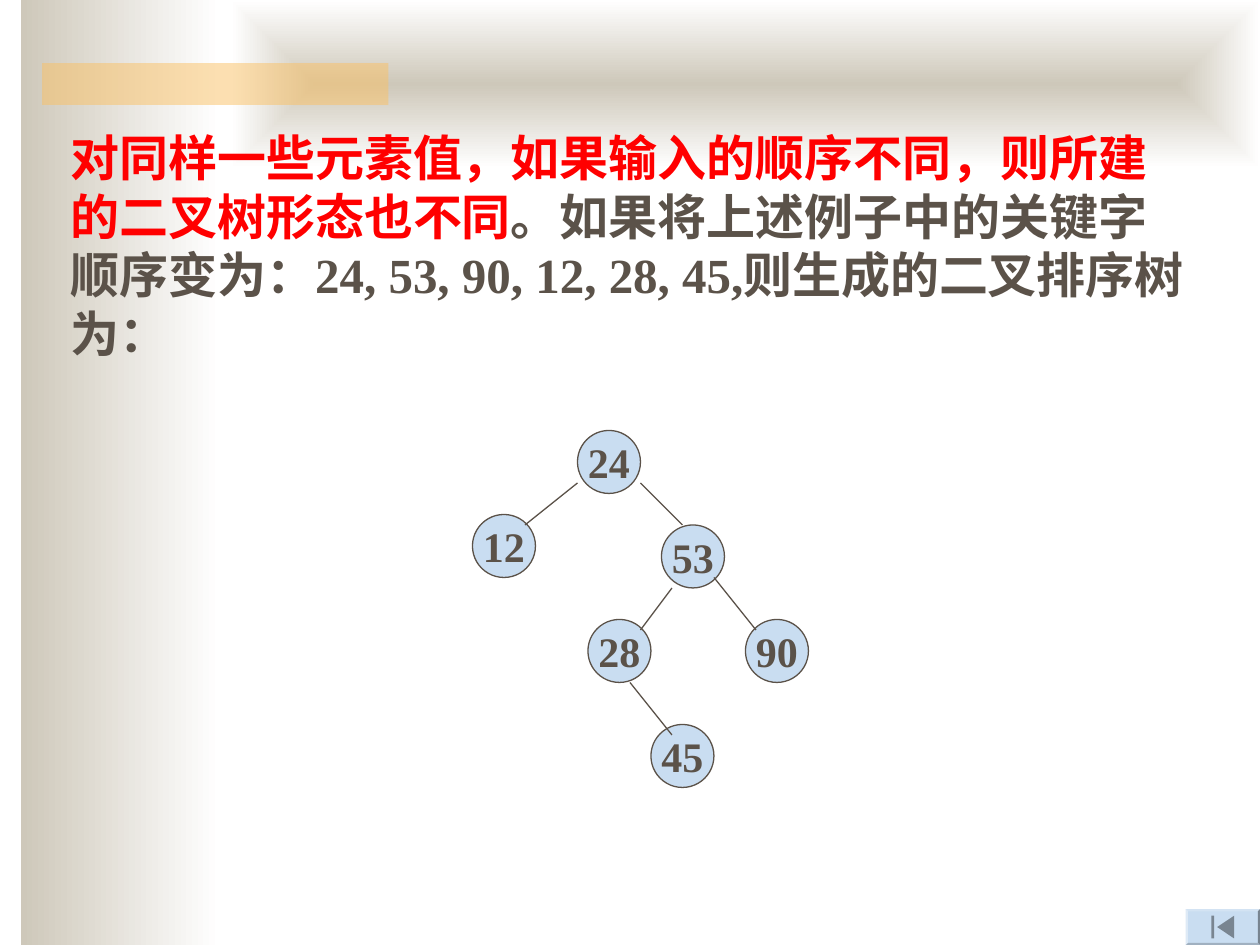
from lxml import etree
from pptx import Presentation
from pptx.dml.color import RGBColor
from pptx.enum.shapes import MSO_CONNECTOR as Connector, MSO_SHAPE as Shape
from pptx.enum.text import MSO_ANCHOR as Anchor, MSO_AUTO_SIZE as AutoSize, PP_ALIGN as Align
from pptx.oxml.ns import qn
from pptx.util import Pt

# Content
BODY_RUNS = [
    ("对同样一些元素值，如果输入的顺序不同，则所建的二叉树形态也不同", "accent"),
    ("。如果将上述例子中的关键字顺序变为：24, 53, 90, 12, 28, 45,则生成的二叉排序树为：", "ink"),
]
NODES = {  # key: left, top
    24: (330, 246),
    12: (270, 294),
    28: (336, 354),
    53: (378, 300),
    90: (426, 354),
    45: (372, 414),
}
EDGES = [  # parent, offset in parent, child, offset in child
    (24, (0, 30), 12, (30, 6)),
    (24, (36, 30), 53, (12, 0)),
    (53, (6, 36), 28, (30, 6)),
    (53, (30, 30), 90, (6, 6)),
    (28, (24, 36), 45, (12, 6)),
]
NODE_SIZE = 36
BODY_BOX = (33.12, 69.12, 653.76, 141.84)
SIDE_BAND = (12, 0, 114, 540)
TOP_BAND = (132, 0, 588, 96)
TITLE_BAR = (24, 36, 198, 24)
BUTTON = (677.5, 519.5, 42.5, 20.5)

THEME = {
    "font": "Times New Roman",
    "body_size": 28,
    "node_size": 24,
    "line_width": 0.75,
    "ink": "5B5249",
    "accent": "FF0000",
    "node": "C9DDF1",
    "glyph": "798591",
    "band": "CEC8BA",
    "paper": "FFFFFF",
    "bar": "FAC164",
}


def color(name):
    return RGBColor.from_string(THEME[name])


def set_attributes(target, values):
    for name, value in values.items():
        setattr(target, name, value)


def add_box(slide, kind, box, fill=None):
    shape = slide.shapes.add_shape(kind, *map(Pt, box))
    shape.shadow.inherit = False
    shape.line.fill.background()
    if fill:
        shape.fill.solid()
        shape.fill.fore_color.rgb = color(fill)
    return shape


def add_band(slide, box):
    shape = add_box(slide, Shape.RECTANGLE, box)
    shape.fill.gradient()
    shape.fill.gradient_angle = 0
    for stop, name in zip(shape.fill.gradient_stops, ("band", "paper")):
        stop.color.rgb = color(name)
    return shape


def make_rectangular(shape):
    gradient = shape._element.spPr.find(qn("a:gradFill"))
    gradient.remove(gradient.find(qn("a:lin")))
    route = etree.SubElement(gradient, qn("a:path"), {"path": "rect"})
    center = {side: "50000" for side in "ltrb"}
    etree.SubElement(route, qn("a:fillToRect"), center)


def add_run(paragraph, text, size, ink):
    run = paragraph.add_run()
    run.text = text
    set_attributes(run.font, {"name": THEME["font"], "size": Pt(THEME[size]), "bold": True})
    run.font.color.rgb = color(ink)


def style_line(line):
    line.color.rgb = color("ink")
    line.width = Pt(THEME["line_width"])


def add_background(slide):
    add_band(slide, SIDE_BAND)
    make_rectangular(add_band(slide, TOP_BAND))
    bar = add_box(slide, Shape.RECTANGLE, TITLE_BAR, "bar")
    bar_color = bar._element.spPr.find(qn("a:solidFill"))[0]
    etree.SubElement(bar_color, qn("a:alpha"), {"val": "50000"})


def add_button(slide):
    left, top, width, height = BUTTON
    bevel = add_box(slide, Shape.BEVEL, BUTTON, "node")
    bevel.adjustments[0] = 0.06
    glyph = 13
    glyph_top = top + (height - glyph) / 2
    middle = left + width / 2
    add_box(slide, Shape.RECTANGLE, (middle - 6.5, glyph_top, 1.6, glyph), "glyph")
    points = [(middle - 3.2, top + height / 2), (middle + 6.5, glyph_top),
              (middle + 6.5, glyph_top + glyph)]
    points = [(Pt(x), Pt(y)) for x, y in points]
    builder = slide.shapes.build_freeform(*points[0])
    builder.add_line_segments(points[1:], close=True)
    arrow = builder.convert_to_shape()
    arrow.shadow.inherit = False
    arrow.fill.solid()
    arrow.fill.fore_color.rgb = color("glyph")
    arrow.line.fill.background()


def fill_body(slide):
    body = slide.placeholders[1]
    set_attributes(body, dict(zip(("left", "top", "width", "height"), map(Pt, BODY_BOX))))
    set_attributes(body.text_frame, {"word_wrap": True, "auto_size": AutoSize.NONE,
                                     "vertical_anchor": Anchor.TOP})
    paragraph = body.text_frame.paragraphs[0]
    properties = paragraph._p.get_or_add_pPr()
    properties.set("marL", "0")
    properties.set("indent", "0")
    etree.SubElement(properties, qn("a:buNone"))
    set_attributes(paragraph, {"alignment": Align.LEFT, "space_before": Pt(0)})
    for text, ink in BODY_RUNS:
        add_run(paragraph, text, "body_size", ink)


def add_node(slide, key, position):
    node = add_box(slide, Shape.OVAL, (*position, NODE_SIZE, NODE_SIZE), "node")
    style_line(node.line)
    set_attributes(node.text_frame, {"word_wrap": False, "vertical_anchor": Anchor.MIDDLE})
    paragraph = node.text_frame.paragraphs[0]
    paragraph.alignment = Align.CENTER
    add_run(paragraph, str(key), "node_size", "ink")


def add_edge(slide, parent, start, child, end):
    ends = [origin + offset
            for key, offsets in ((parent, start), (child, end))
            for origin, offset in zip(NODES[key], offsets)]
    edge = slide.shapes.add_connector(Connector.STRAIGHT, *map(Pt, ends))
    style_line(edge.line)
    etree.SubElement(edge._element.spPr, qn("a:effectLst"))


def main():
    presentation = Presentation()
    set_attributes(presentation, {"slide_width": Pt(720), "slide_height": Pt(540)})
    slide = presentation.slides.add_slide(presentation.slide_layouts[1])
    title = slide.shapes.title._element
    title.getparent().remove(title)

    # Background bands and navigation button
    add_background(slide)
    add_button(slide)

    # Body text, brought in front of the bands
    fill_body(slide)
    body = slide.placeholders[1]._element
    body.getparent().append(body)

    # Binary sort tree
    for key, position in NODES.items():
        add_node(slide, key, position)
    for edge in EDGES:
        add_edge(slide, *edge)

    presentation.save("out.pptx")


if __name__ == "__main__":
    main()
